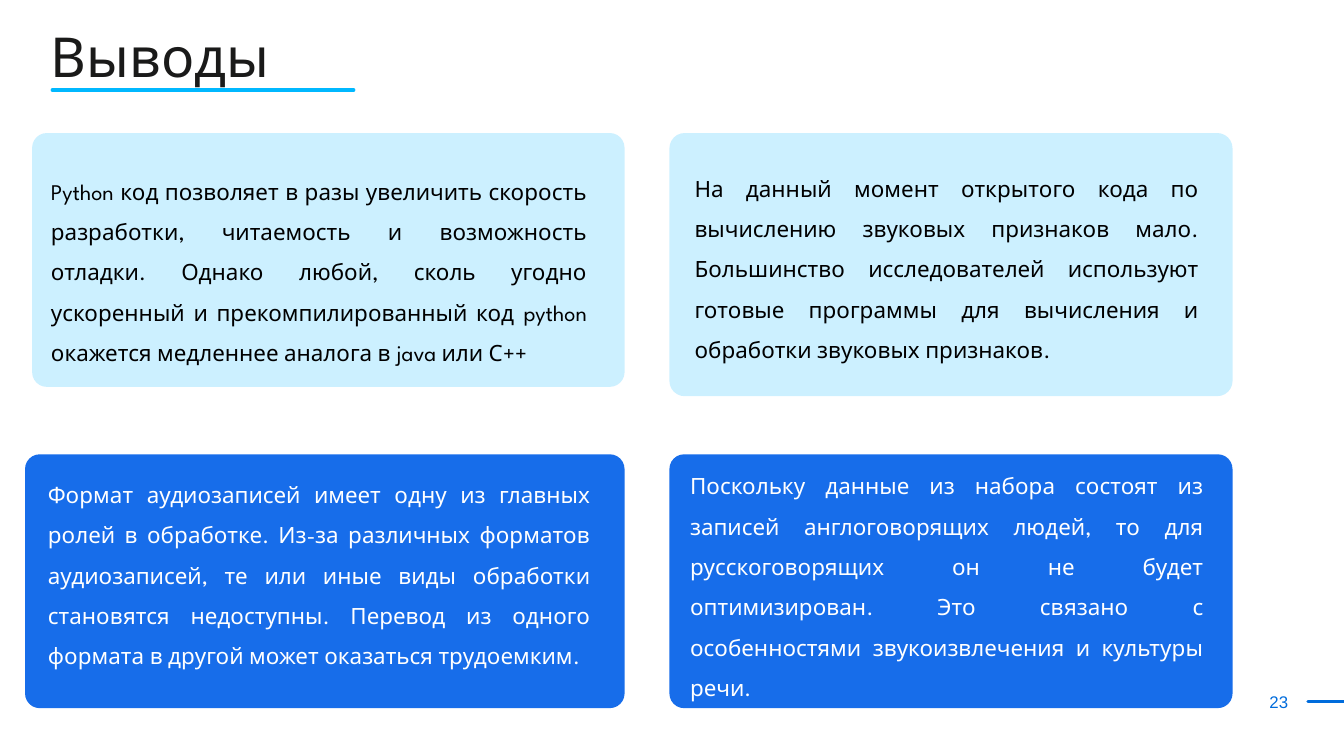
from pptx import Presentation
from pptx.dml.color import RGBColor
from pptx.enum.shapes import MSO_CONNECTOR, MSO_SHAPE
from pptx.enum.text import MSO_ANCHOR, PP_ALIGN
from pptx.oxml.ns import qn
from pptx.util import Pt
from lxml import etree

STRAIGHT = MSO_CONNECTOR.STRAIGHT
ROUNDED = MSO_SHAPE.ROUNDED_RECTANGLE
TOP, MIDDLE = MSO_ANCHOR.TOP, MSO_ANCHOR.MIDDLE
LEFT, CENTER, JUSTIFY = PP_ALIGN.LEFT, PP_ALIGN.CENTER, PP_ALIGN.JUSTIFY

CYAN, BLUE, ACCENT = "00B8FF", "176DEA", "006CDC"
INK, BLACK, WHITE = "1A1A19", "000000", "FFFFFF"
FONT = "League Spartan"

# Card edges shared by the grid
RIGHT_X, RIGHT_W = 358.6, 301.7
LEFT_END = 334.6
TOP_Y, BOTTOM_Y, CARD_H = 71.3, 243.4, 136

# Cards: left, top, width, height, fill, alpha in percent
CARDS = [
    (RIGHT_X, TOP_Y, RIGHT_W, 141, CYAN, 20),
    (17.2, TOP_Y, LEFT_END - 17.2, CARD_H, CYAN, 20),
    (RIGHT_X, BOTTOM_Y, RIGHT_W, CARD_H, BLUE, 100),
    (13.4, BOTTOM_Y, LEFT_END - 13.4, CARD_H, BLUE, 100),
]

# Conclusions: box, text, colour, anchor, top inset
CONCLUSIONS = [
    ((20.2, 85, 301.5, 126.7),
     "Python код позволяет в разы увеличить скорость разработки, читаемость "
     "и возможность отладки. Однако любой, сколь угодно ускоренный и "
     "прекомпилированный код python окажется медленнее аналога в java или С++",
     BLACK, TOP, 3),
    ((365, 79.2, 284.4, 123.1),
     "На данный момент открытого кода по вычислению звуковых признаков мало. "
     "Большинство исследователей используют готовые программы для вычисления "
     "и обработки звуковых признаков.",
     BLACK, TOP, 7.2),
    ((18.6, 243.4, 305, 123.1),
     "Формат аудиозаписей имеет одну из главных ролей в обработке. Из-за "
     "различных форматов аудиозаписей, те или иные виды обработки становятся "
     "недоступны. Перевод из одного формата в другой может оказаться "
     "трудоемким.",
     WHITE, TOP, 7.2),
    ((362.6, 249.1, 289.4, 123.1),
     "Поскольку данные из набора состоят из записей англоговорящих людей, то "
     "для русскоговорящих он не будет оптимизирован. Это связано с "
     "особенностями звукоизвлечения и культуры речи.",
     WHITE, MIDDLE, 7.2),
]


def color(value):
    return RGBColor.from_string(value)


def add_text(slide, box, text, *, size, fill, font=FONT, align=LEFT,
             anchor=TOP, spacing=1.0, insets=(7.2, 7.2, 7.2, 7.2)):
    sp = slide.shapes.add_textbox(*map(Pt, box))
    tf = sp.text_frame
    tf.word_wrap = True
    tf.vertical_anchor = anchor
    tf.margin_left, tf.margin_top, tf.margin_right, tf.margin_bottom = map(Pt, insets)
    p = tf.paragraphs[0]
    p.alignment = align
    p.line_spacing = spacing
    r = p.add_run()
    r.text = text
    r.font.name = font
    r.font.size = Pt(size)
    r.font.color.rgb = color(fill)


def add_card(slide, x, y, w, h, fill, alpha):
    sp = slide.shapes.add_shape(ROUNDED, Pt(x), Pt(y), Pt(w), Pt(h))
    sp.adjustments[0] = 0.058
    sp.shadow.inherit = False
    sp.fill.solid()
    sp.fill.fore_color.rgb = color(fill)
    sp.line.fill.background()
    if alpha < 100:
        clr = sp.fill._xPr.find(qn("a:solidFill"))[0]
        etree.SubElement(clr, qn("a:alpha"), val=str(alpha * 1000))


def add_rule(slide, x1, x2, y, stroke, width):
    cn = slide.shapes.add_connector(STRAIGHT, Pt(x1), Pt(y), Pt(x2), Pt(y))
    cn.line.color.rgb = color(stroke)
    cn.line.width = Pt(width)
    cn.line._get_or_add_ln().set("cap", "rnd")
    etree.SubElement(cn._element.spPr, qn("a:effectLst"))


def main():
    prs = Presentation()
    prs.slide_width, prs.slide_height = Pt(720), Pt(405)
    s = prs.slides.add_slide(prs.slide_layouts[6])

    # Page number
    add_text(s, (673.2, 367.9, 23.8, 16.6), "23", size=9, fill=ACCENT,
             font="Arial", align=CENTER, insets=(5, 2.9, 5, 2.9))
    add_rule(s, 700.6, 730.8, 375.8, ACCENT, 1.5)

    # Title
    add_rule(s, 28.1, 189.4, 48.2, CYAN, 2)
    add_text(s, (20.2, 9.4, 671, 45.4), "Выводы", size=29.5, fill=INK,
             anchor=MIDDLE, spacing=0.9)

    # Cards and their conclusions
    for card in CARDS:
        add_card(s, *card)
    for box, text, fill, anchor, inset_top in CONCLUSIONS:
        add_text(s, box, text, size=12, fill=fill, align=JUSTIFY,
                 anchor=anchor, spacing=1.5, insets=(7.2, inset_top, 7.2, 7.2))

    prs.save("out.pptx")


if __name__ == "__main__":
    main()
